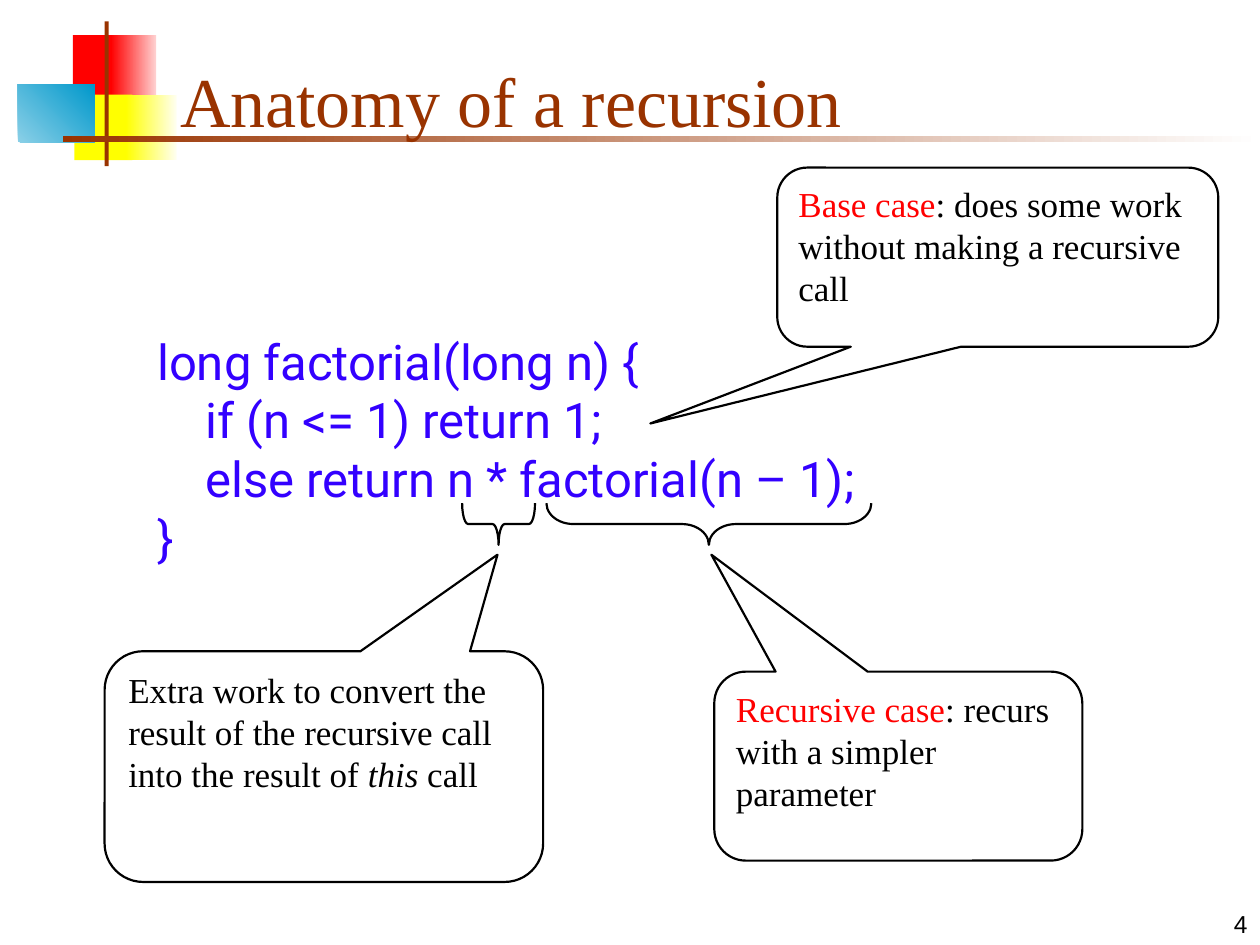
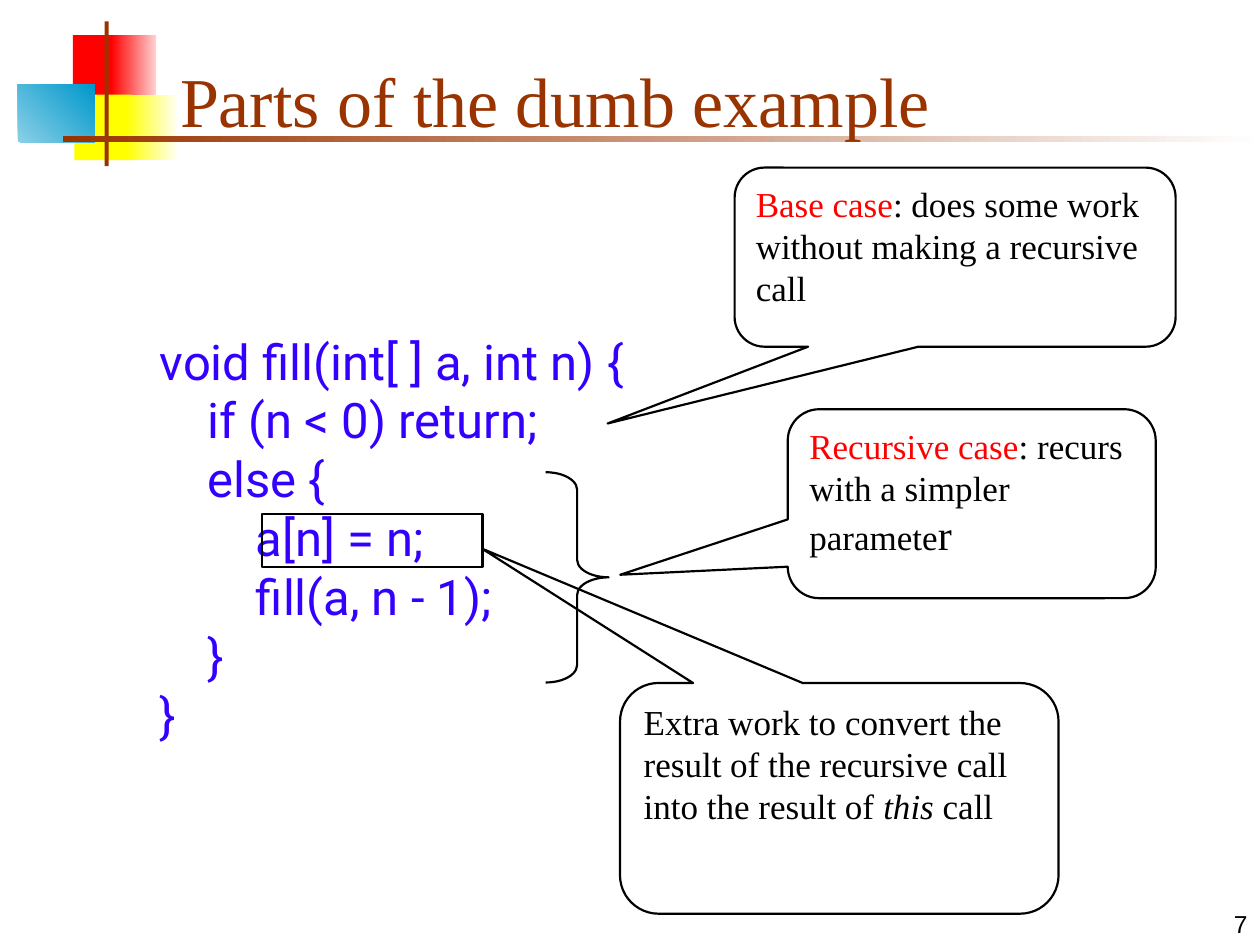
from pptx import Presentation
from pptx.dml.color import RGBColor
from pptx.enum.shapes import MSO_SHAPE as SHAPE
from pptx.enum.text import MSO_ANCHOR as ANCHOR, PP_ALIGN as ALIGN
from pptx.util import Cm, Pt

BLACK = RGBColor(0x00, 0x00, 0x00)
RED = RGBColor(0xFF, 0x00, 0x00)
PINK = RGBColor(0xFF, 0xD1, 0xD1)
YELLOW = RGBColor(0xFF, 0xFF, 0x00)
IVORY = RGBColor(0xFF, 0xFF, 0xF0)
SKY = RGBColor(0x8B, 0xD0, 0xE7)
BLUE = RGBColor(0x00, 0x98, 0xCB)
BROWN = RGBColor(0x99, 0x33, 0x00)
WHITE = RGBColor(0xFF, 0xFF, 0xFF)
CODE_BLUE = RGBColor(0x33, 0x00, 0xFF)

SERIF, SANS, CODE_FONT = "Times New Roman", "Arial", "Roboto"
CODE_INDENT = 0.97

DECORATION = [
    ((1.47, 0.71, 0.89, 1.32), (RED,), 0),
    ((2.24, 0.71, 0.91, 1.32), (RED, PINK), 0),
    ((1.5, 1.91, 1.17, 1.32), (YELLOW,), 0),
    ((2.54, 1.91, 1.02, 1.32), (YELLOW, IVORY), 0),
    ((0.36, 1.7, 1.55, 1.17), (SKY, BLUE), 45),
    ((2.11, 0.43, 0.08, 2.92), (BROWN,), 0),
    ((1.27, 2.74, 24.13, 0.13), (BROWN, WHITE), 0),
]

BASE_SIZE, BASE_TIP = (8.89, 3.61), (-0.788, 0.929)
RECURSIVE_SIZE = (7.42, 3.81)
EXTRA_SIZE = (8.84, 4.65)

BASE_TEXT = [("Base case", {"color": RED}),
             (": does some work without making a recursive call", {})]
RECURSIVE_TEXT = [("Recursive case", {"color": RED}),
                  (": recurs with a simpler parameter", {})]
RECURSIVE_TEXT_BIG_R = [("Recursive case", {"color": RED}),
                        (": recurs with a simpler paramete", {}),
                        ("r", {"size": 24})]
EXTRA_TEXT = [("Extra work to convert the result of the recursive call "
               "into the result of ", {}),
              ("this", {"italic": True}), (" call", {})]

FACTORIAL = [(0, "long factorial(long n) {"),
             (1, "if (n <= 1) return 1;"),
             (1, "else return n * factorial(n – 1);"),
             (0, "}")]
FILL = [(0, "void fill(int[ ] a, int n) {"),
        (1, "if (n < 0) return;"),
        (1, "else {"),
        (2, "a[n] = n;"),
        (2, "fill(a, n - 1);"),
        (1, "}"),
        (0, "}")]


def add_run(p, text, font=SERIF, size=20, color=BLACK, italic=False):
    """Append one formatted run to a paragraph."""
    r = p.add_run()
    r.text = text
    r.font.name, r.font.size = font, Pt(size)
    r.font.color.rgb, r.font.italic = color, italic


def add_text_box(slide, box, anchor=ANCHOR.TOP):
    """Add a wrapping text box and return its text frame."""
    tf = slide.shapes.add_textbox(*map(Cm, box)).text_frame
    tf.word_wrap, tf.vertical_anchor = True, anchor
    return tf


def add_block(slide, box, colors, angle):
    """Add a borderless rectangle in one colour or a two-colour gradient."""
    sp = slide.shapes.add_shape(SHAPE.RECTANGLE, *map(Cm, box))
    sp.shadow.inherit = False
    sp.line.fill.background()
    if len(colors) == 1:
        sp.fill.solid()
        sp.fill.fore_color.rgb = colors[0]
        return
    sp.fill.gradient()
    sp.fill.gradient_angle = angle
    for position, (stop, color) in enumerate(zip(sp.fill.gradient_stops, colors)):
        stop.position, stop.color.rgb = position, color


def add_outline(slide, kind, box):
    """Add an unfilled shape with a thin black line."""
    sp = slide.shapes.add_shape(kind, *map(Cm, box))
    sp.shadow.inherit = False
    sp.fill.background()
    sp.line.color.rgb, sp.line.width = BLACK, Pt(1.25)
    return sp


def add_callout(slide, corner, size, tip, runs):
    """Add a rounded callout whose tip is given relative to its centre."""
    sp = add_outline(slide, SHAPE.ROUNDED_RECTANGULAR_CALLOUT, corner + size)
    for i, value in enumerate(tip + (0.167,)):
        sp.adjustments[i] = value
    tf = sp.text_frame
    tf.word_wrap, tf.vertical_anchor = True, ANCHOR.TOP
    p = tf.paragraphs[0]
    p.alignment = ALIGN.LEFT
    for text, style in runs:
        add_run(p, text, **style)


def add_brace(slide, box, rotation=0):
    """Add a right brace whose curves span a twelfth of its height."""
    sp = add_outline(slide, SHAPE.RIGHT_BRACE, box)
    sp.adjustments[0] = box[3] / 12 / min(box[2:])
    sp.rotation = rotation


def add_code(slide, box, lines):
    """Add a code listing with one indented paragraph per line."""
    tf = add_text_box(slide, box)
    for i, (level, text) in enumerate(lines):
        p = tf.add_paragraph() if i else tf.paragraphs[0]
        p._p.get_or_add_pPr().set("marL", str(Cm(level * CODE_INDENT)))
        add_run(p, text, CODE_FONT, 28, CODE_BLUE)


def add_base_slide(prs, title, number):
    """Add a blank slide with the shared decoration, title and number."""
    slide = prs.slides.add_slide(prs.slide_layouts[6])
    for box, colors, angle in DECORATION:
        add_block(slide, box, colors, angle)
    p = add_text_box(slide, (20.12, 17.78, 5.28, 1.27), ANCHOR.BOTTOM).paragraphs[0]
    p.alignment = ALIGN.RIGHT
    add_run(p, str(number), SANS, 14)
    tf = add_text_box(slide, (3.38, 0.64, 21.64, 2.34), ANCHOR.BOTTOM)
    add_run(tf.paragraphs[0], title, size=40, color=BROWN)
    return slide


def build_anatomy(prs):
    """Build the slide on the parts of the factorial function."""
    slide = add_base_slide(prs, "Anatomy of a recursion", 4)
    add_code(slide, (2.92, 6.55, 15.32, 5), FACTORIAL)
    add_callout(slide, (15.67, 3.38), BASE_SIZE, BASE_TIP, BASE_TEXT)
    add_callout(slide, (14.4, 13.54), RECURSIVE_SIZE, (-0.508, -1.119), RECURSIVE_TEXT)
    add_brace(slide, (13.87, 7.29, 0.84, 6.55), 90)
    add_callout(slide, (2.11, 13.13), EXTRA_SIZE, (0.396, -0.919), EXTRA_TEXT)
    add_brace(slide, (9.63, 9.83, 0.84, 1.47), 90)


def build_dumb_example(prs):
    """Build the slide on the parts of the fill function."""
    slide = add_base_slide(prs, "Parts of the dumb example", 7)
    add_code(slide, (2.97, 6.55, 16.08, 8.56), FILL)
    add_callout(slide, (14.81, 3.38), BASE_SIZE, BASE_TIP, BASE_TEXT)
    add_callout(slide, (15.88, 8.25), RECURSIVE_SIZE, (-0.955, 0.376),
                RECURSIVE_TEXT_BIG_R)
    add_brace(slide, (11, 9.52, 1.27, 4.24))
    add_callout(slide, (12.5, 13.77), EXTRA_SIZE, (-0.815, -1.083), EXTRA_TEXT)
    add_outline(slide, SHAPE.RECTANGLE, (5.28, 10.36, 4.45, 1.07))


def main():
    """Build both slides and save the presentation."""
    prs = Presentation()
    prs.slide_width, prs.slide_height = Cm(25.4), Cm(19.05)
    build_anatomy(prs)
    build_dumb_example(prs)
    prs.save("out.pptx")


if __name__ == "__main__":
    main()
